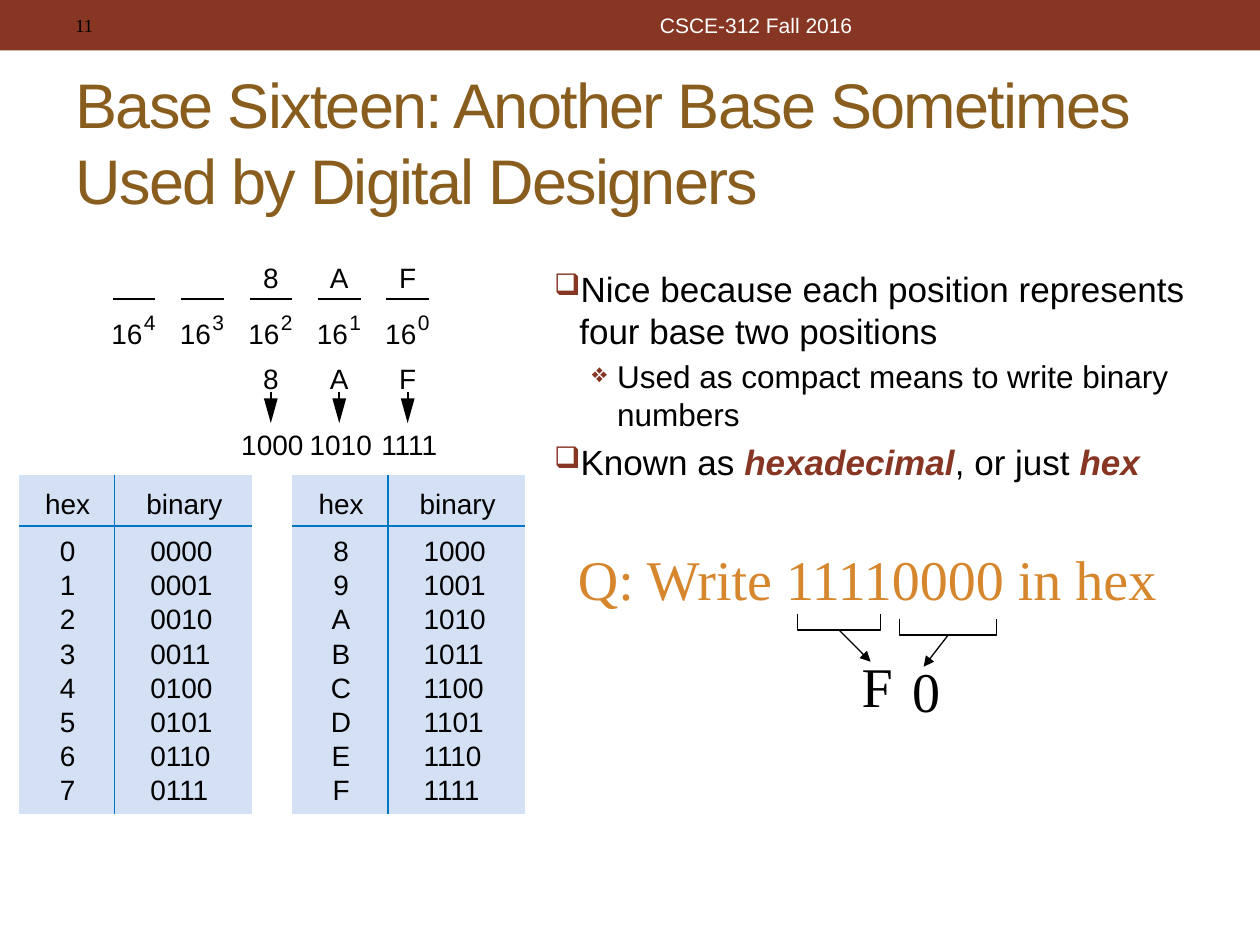
from pptx import Presentation
from pptx.dml.color import RGBColor
from pptx.enum.shapes import MSO_CONNECTOR, MSO_SHAPE
from pptx.enum.text import MSO_ANCHOR, MSO_AUTO_SIZE, PP_ALIGN
from pptx.oxml.xmlchemy import OxmlElement as Element
from pptx.util import Cm, Pt

BLACK = RGBColor(0x00, 0x00, 0x00)
WHITE = RGBColor(0xFF, 0xFF, 0xFF)
BRICK = RGBColor(0x87, 0x36, 0x24)
BROWN = RGBColor(0x89, 0x5D, 0x1D)
ORANGE = RGBColor(0xD6, 0x86, 0x2D)
PALE_BLUE = RGBColor(0xD4, 0xE0, 0xF3)
BLUE = RGBColor(0x00, 0x78, 0xC1)
SANS, SERIF = "Arial", "Times New Roman"

FIRST_POSITION, POSITION_STEP = 2.7, 1.38


def child(parent, tag, **attributes):
    element = Element(tag)
    for name, value in attributes.items():
        element.set(name, str(value))
    parent.append(element)
    return element


def set_font(paragraph, size, color=BLACK, name=SANS):
    font = paragraph.font
    font.name, font.size = name, Pt(size)
    font.color.rgb = color


def add_text(slide, text, left, top, width, height, size, color=BLACK, name=SANS,
             align=PP_ALIGN.LEFT, anchor=MSO_ANCHOR.TOP, inset=True):
    frame = slide.shapes.add_textbox(Cm(left), Cm(top), Cm(width), Cm(height)).text_frame
    frame.word_wrap = True
    frame.vertical_anchor = anchor
    if not inset:
        frame.margin_left = frame.margin_right = frame.margin_top = frame.margin_bottom = 0
    paragraph = frame.paragraphs[0]
    paragraph.text = text
    paragraph.alignment = align
    set_font(paragraph, size, color, name)


def add_label(slide, text, center, top, width=0.5, height=0.69, size=16):
    add_text(slide, text, center - width / 2, top, width, height, size,
             align=PP_ALIGN.CENTER, inset=False)


def add_line(slide, start, end, weight, arrow=False):
    line = slide.shapes.add_connector(MSO_CONNECTOR.STRAIGHT, *map(Cm, start + end))
    line.line.color.rgb = BLACK
    line.line.width = Pt(weight)
    properties = line._element.spPr
    if arrow:
        child(properties.find("{*}ln"), "a:tailEnd", type="triangle")
    child(properties, "a:effectLst")


def add_outline(slide, points, filled):
    start, *rest = [(Cm(x), Cm(y)) for x, y in points]
    builder = slide.shapes.build_freeform(*start)
    builder.add_line_segments(rest, close=filled)
    outline = builder.convert_to_shape()
    outline.shadow.inherit = False
    if filled:
        outline.fill.solid()
        outline.fill.fore_color.rgb = BLACK
        outline.line.fill.background()
    else:
        outline.fill.background()
        outline.line.color.rgb = BLACK
        outline.line.width = Pt(0.75)


def add_header(slide):
    bar = slide.shapes.add_shape(MSO_SHAPE.RECTANGLE, 0, 0, Cm(25.4), Cm(1.02))
    bar.shadow.inherit = False
    bar.fill.solid()
    bar.fill.fore_color.rgb = BRICK
    bar.line.fill.background()
    add_text(slide, "11", 1.27, 0.05, 8.05, 0.91, 10.5, name=SERIF, anchor=MSO_ANCHOR.MIDDLE)
    add_text(slide, "CSCE-312 Fall 2016", 9.53, 0.05, 11.43, 0.91, 12, WHITE,
             align=PP_ALIGN.CENTER, anchor=MSO_ANCHOR.MIDDLE)


def format_title(slide, text):
    title = slide.shapes.title
    title.left, title.top, title.width, title.height = Cm(1.27), Cm(1.48), Cm(22.86), Cm(2.74)
    frame = title.text_frame
    frame.text = text
    frame.auto_size = MSO_AUTO_SIZE.NONE
    frame.vertical_anchor = MSO_ANCHOR.MIDDLE
    paragraph = frame.paragraphs[0]
    paragraph.alignment = PP_ALIGN.LEFT
    set_font(paragraph, 36, BROWN)
    paragraph.runs[0].font._element.set("spc", "-100")


def add_points(slide, points):
    frame = slide.shapes.add_textbox(Cm(10.92), Cm(5.26), Cm(14.02), Cm(5)).text_frame
    frame.word_wrap = True
    for number, (level, runs) in enumerate(points):
        paragraph = frame.add_paragraph() if number else frame.paragraphs[0]
        size, indent, bullet = ((20, 0.51, "❑"), (18, 1.27, "❖"))[level]
        paragraph.level = level
        paragraph.space_before = Pt(size * 0.2)
        set_font(paragraph, size)
        for text, is_term in runs:
            run = paragraph.add_run()
            run.text = text
            if is_term:
                run.font.bold = run.font.italic = True
                run.font.color.rgb = BRICK
        properties = paragraph._p.get_or_add_pPr()
        properties.set("marL", str(Cm(indent)))
        properties.set("indent", str(Cm(-0.51)))
        marks = [Element(tag) for tag in ("a:buClr", "a:buSzPct", "a:buChar")]
        child(marks[0], "a:srgbClr", val=BRICK)
        marks[1].set("val", "85000")
        marks[2].set("char", bullet)
        for mark in marks:
            properties.find("{*}defRPr").addprevious(mark)


def add_positions(slide):
    for index, digit in enumerate(["", "", "8", "A", "F"]):
        center = FIRST_POSITION + index * POSITION_STEP
        add_line(slide, (center - 0.43, 6.02), (center + 0.43, 6.02), 1.13)
        add_label(slide, "16", center - 0.14, 6.38, 0.64)
        add_label(slide, str(4 - index), center + 0.32, 6.25, 0.24, 0.51, 12)
        if digit:
            add_label(slide, digit, center, 5.26)
            add_label(slide, digit, center, 7.29)
            add_line(slide, (center, 7.9), (center, 8.2), 1.13)
            add_outline(slide, [(center, 8.53), (center + 0.14, 8.03), (center - 0.14, 8.03)], True)
            add_label(slide, f"{int(digit, 16):04b}", center + 0.03, 8.61, 1.35)


def set_borders(cell, colors):
    properties = cell._tc.get_or_add_tcPr()
    for place, (side, color) in enumerate(zip("LRTB", colors)):
        border = Element(f"a:ln{side}")
        border.set("w", str(Pt(1.13)))
        if color is None:
            child(border, "a:noFill")
        else:
            child(child(border, "a:solidFill"), "a:srgbClr", val=color)
        properties.insert(place, border)


def add_hex_table(slide, left, values):
    rows = [("hex", "binary")] + [(f"{value:X}", f"{value:04b}") for value in values]
    heights = [1.03, 0.89] + [0.69] * 6 + [0.77]
    table = slide.shapes.add_table(len(rows), 2, Cm(left), Cm(9.58), Cm(4.7), Cm(sum(heights))).table
    table.first_row = table.horz_banding = False
    for column, width in zip(table.columns, (1.93, 2.77)):
        column.width = Cm(width)
    for row, texts in enumerate(rows):
        table.rows[row].height = Cm(heights[row])
        for column, text in enumerate(texts):
            cell = table.cell(row, column)
            cell.text = text
            cell.margin_right = cell.margin_bottom = 0
            cell.margin_top = Cm({0: 0.29, 1: 0.2}.get(row, 0))
            cell.margin_left = Cm((0.64 if row == 0 else 0.72) if column else 0.04)
            cell.fill.solid()
            cell.fill.fore_color.rgb = PALE_BLUE
            paragraph = cell.text_frame.paragraphs[0]
            paragraph.alignment = PP_ALIGN.LEFT if column else PP_ALIGN.CENTER
            set_font(paragraph, 16)
            set_borders(cell, (BLUE if column else None, None if column else BLUE,
                               BLUE if row == 1 else None, BLUE if row == 0 else None))


def add_answer(slide, digit, left, right, top, arrow_end, digit_at):
    bottom = top + 0.33
    add_outline(slide, [(left, top), (left, bottom), (right, bottom), (right, top)], False)
    add_line(slide, ((left + right) / 2, bottom), arrow_end, 0.75, arrow=True)
    add_text(slide, digit, *digit_at, 1.5, 1.63, 32, name=SERIF)


def main():
    deck = Presentation()
    deck.slide_width, deck.slide_height = Cm(25.4), Cm(19.05)
    slide = deck.slides.add_slide(deck.slide_layouts[5])
    add_header(slide)
    format_title(slide, "Base Sixteen: Another Base Sometimes Used by Digital Designers")
    add_points(slide, [
        (0, [("Nice because each position represents four base two positions", False)]),
        (1, [("Used as compact means to write binary numbers", False)]),
        (0, [("Known as ", False), ("hexadecimal", True), (", or just ", False), ("hex", True)]),
    ])
    add_positions(slide)
    add_hex_table(slide, 0.38, range(8))
    add_hex_table(slide, 5.89, range(8, 16))
    add_text(slide, "Q: Write 11110000 in hex", 11.4, 10.85, 12.3, 1.63, 32, ORANGE, SERIF)
    add_answer(slide, "F", 16.08, 17.75, 12.37, (17.55, 13.34), (17.12, 13))
    add_answer(slide, "0", 18.14, 20.09, 12.47, (18.62, 13.44), (18.14, 13.11))
    deck.save("out.pptx")


main()
